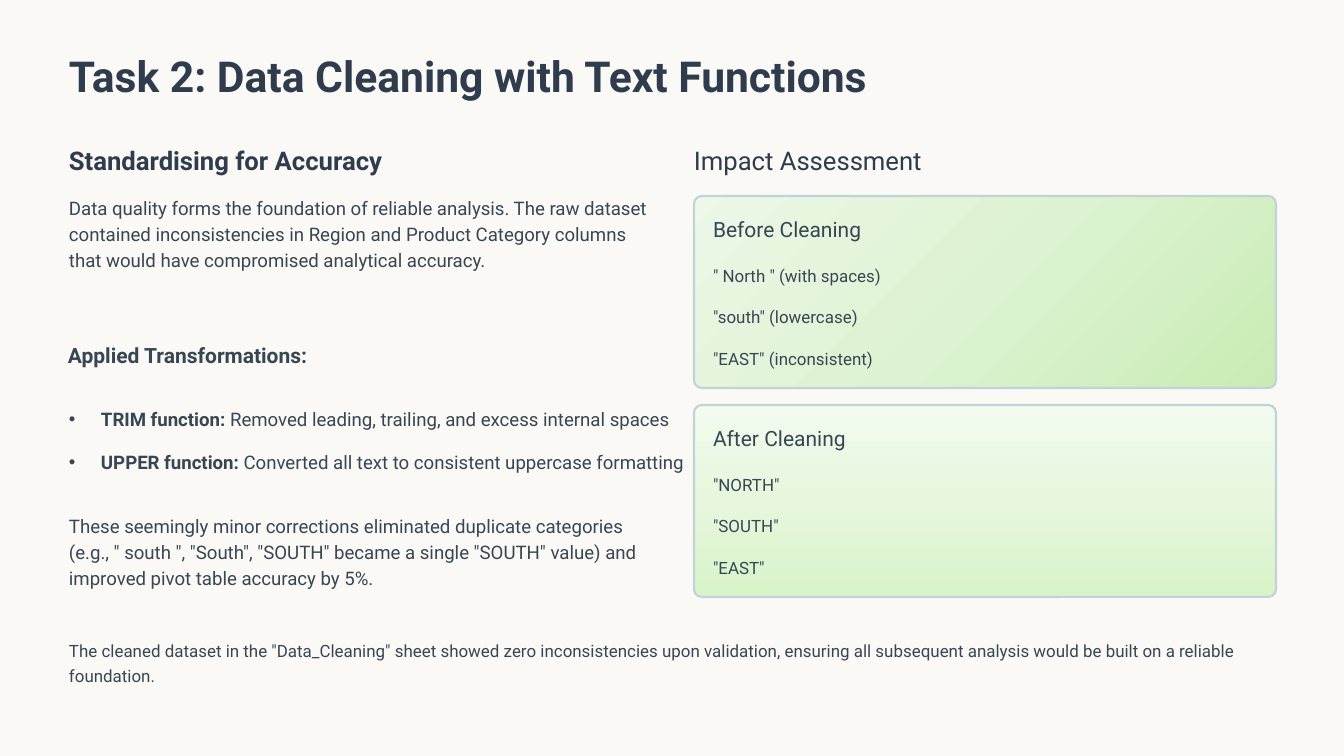
from copy import deepcopy

from pptx import Presentation
from pptx.dml.color import RGBColor
from pptx.enum.shapes import MSO_SHAPE
from pptx.enum.text import MSO_ANCHOR, MSO_AUTO_SIZE, PP_ALIGN
from pptx.oxml.ns import qn
from pptx.util import Emu, Pt

ROUND = MSO_SHAPE.ROUNDED_RECTANGLE
TOP = MSO_ANCHOR.TOP
FIXED = MSO_AUTO_SIZE.NONE
LEFT = PP_ALIGN.LEFT

CREAM = RGBColor(0xFA, 0xF9, 0xF5)
NAVY = RGBColor(0x2E, 0x3C, 0x4E)
SLATE = RGBColor(0x38, 0x46, 0x53)
EDGE = RGBColor(0xBF, 0xD3, 0xD8)
DEEP = [RGBColor(0xC9, 0xEC, 0xB4), RGBColor(0xDC, 0xF2, 0xD0), RGBColor(0xED, 0xF8, 0xE8)]
PALE = [RGBColor(0xD9, 0xF3, 0xC9), RGBColor(0xE6, 0xF7, 0xDD), RGBColor(0xF2, 0xFB, 0xEE)]


def px(count):
    return Emu(round(count * 914400 / 84))


class Page:
    font = "Roboto"

    def __init__(self, deck):
        self.slide = deck.slides.add_slide(deck.slide_layouts[1])
        fill = self.slide.background.fill
        fill.solid()
        fill.fore_color.rgb = CREAM

    def place(self, shape, x, y, w, h):
        shape.left, shape.top, shape.width, shape.height = map(px, (x, y, w, h))
        frame = shape.text_frame
        frame.margin_left = frame.margin_right = 0
        frame.margin_top = frame.margin_bottom = 0
        frame.word_wrap = True
        frame.auto_size = FIXED
        frame.vertical_anchor = TOP
        return frame

    def style(self, para, size, color, bold, lead):
        para.alignment = LEFT
        para.line_spacing = Pt(lead)
        para.space_before = Pt(0)
        para.font.name = self.font
        para.font.size = Pt(size)
        para.font.color.rgb = color
        para.font.bold = bold

    def title(self, text, box):
        frame = self.place(self.slide.shapes.title, *box)
        frame.text = text
        self.style(frame.paragraphs[0], 36.5, NAVY, True, 46)

    def text(self, text, box, size=16, color=SLATE, bold=False, lead=22):
        shape = self.slide.shapes.add_textbox(0, 0, 0, 0)
        frame = self.place(shape, *box)
        frame.text = text
        self.style(frame.paragraphs[0], size, color, bold, lead)

    def bullets(self, items, box, gap):
        frame = self.place(self.slide.placeholders[1], *box)
        for i, (label, rest) in enumerate(items):
            para = frame.add_paragraph() if i else frame.paragraphs[0]
            props = para._p.get_or_add_pPr()
            props.set("marL", str(px(32)))
            props.set("indent", str(-px(32)))
            mark = props.makeelement(qn("a:buChar"), {"char": "•"})
            props.append(mark)
            self.style(para, 16, SLATE, None, 22)
            if i:
                para.space_before = Pt(gap)
            for words, bold in ((label, True), (rest, False)):
                run = para.add_run()
                run.text = words
                run.font.bold = bold

    def panel(self, x, y, w, h, tints, angle):
        shape = self.slide.shapes.add_shape(ROUND, px(x), px(y), px(w), px(h))
        shape.adjustments[0] = 0.04
        shape.shadow.inherit = False
        shape.line.color.rgb = EDGE
        shape.line.width = Pt(1.8)
        fill = shape.fill
        fill.gradient()
        fill.gradient_angle = angle
        stops = shape._element.spPr.find(qn("a:gradFill")).find(qn("a:gsLst"))
        stops.insert(1, deepcopy(stops[0]))
        for i, (stop, tint) in enumerate(zip(fill.gradient_stops, tints)):
            stop.position = i / 2
            stop.color.rgb = tint

    def card(self, y, head, items, tints, angle):
        self.panel(694, y, 582, 192, tints, angle)
        self.text(head, (713, y + 19, 216, 27), size=18, lead=23)
        for i, item in enumerate(items):
            self.text(item, (713, y + 64 + 83 * i // 2, 543, 26), size=14.5)


def main():
    deck = Presentation()
    deck.slide_width, deck.slide_height = px(1344), px(756)
    page = Page(deck)
    page.title("Task 2: Data Cleaning with Text Functions", (69, 47, 820, 54))
    page.text("Standardising for Accuracy", (69, 144, 322, 32), 22, NAVY, True, 27.5)
    page.text(
        "Data quality forms the foundation of reliable analysis. The raw dataset "
        "contained inconsistencies in Region and Product Category columns that "
        "would have compromised analytical accuracy.",
        (69, 194, 582, 77),
    )
    page.text("Applied Transformations:", (68, 342, 582, 26), 18, bold=True)
    page.bullets(
        [
            ("TRIM function:", " Removed leading, trailing, and excess internal spaces"),
            ("UPPER function:", " Converted all text to consistent uppercase formatting"),
        ],
        (69, 405, 624, 69),
        gap=14.7,
    )
    page.text(
        'These seemingly minor corrections eliminated duplicate categories (e.g., '
        '" south ", "South", "SOUTH" became a single "SOUTH" value) and improved '
        'pivot table accuracy by 5%.',
        (69, 512, 582, 77),
    )
    page.text("Impact Assessment", (694, 144, 259, 32), 22, NAVY, lead=27.5)
    before = ['" North " (with spaces)', '"south" (lowercase)', '"EAST" (inconsistent)']
    after = ['"NORTH"', '"SOUTH"', '"EAST"']
    page.card(196, "Before Cleaning", before, DEEP, 135)
    page.card(405, "After Cleaning", after, PALE, 90)
    page.text(
        'The cleaned dataset in the "Data_Cleaning" sheet showed zero inconsistencies '
        'upon validation, ensuring all subsequent analysis would be built on a '
        'reliable foundation.',
        (69, 635, 1207, 77),
        size=14.5,
    )
    deck.save("out.pptx")


if __name__ == "__main__":
    main()
